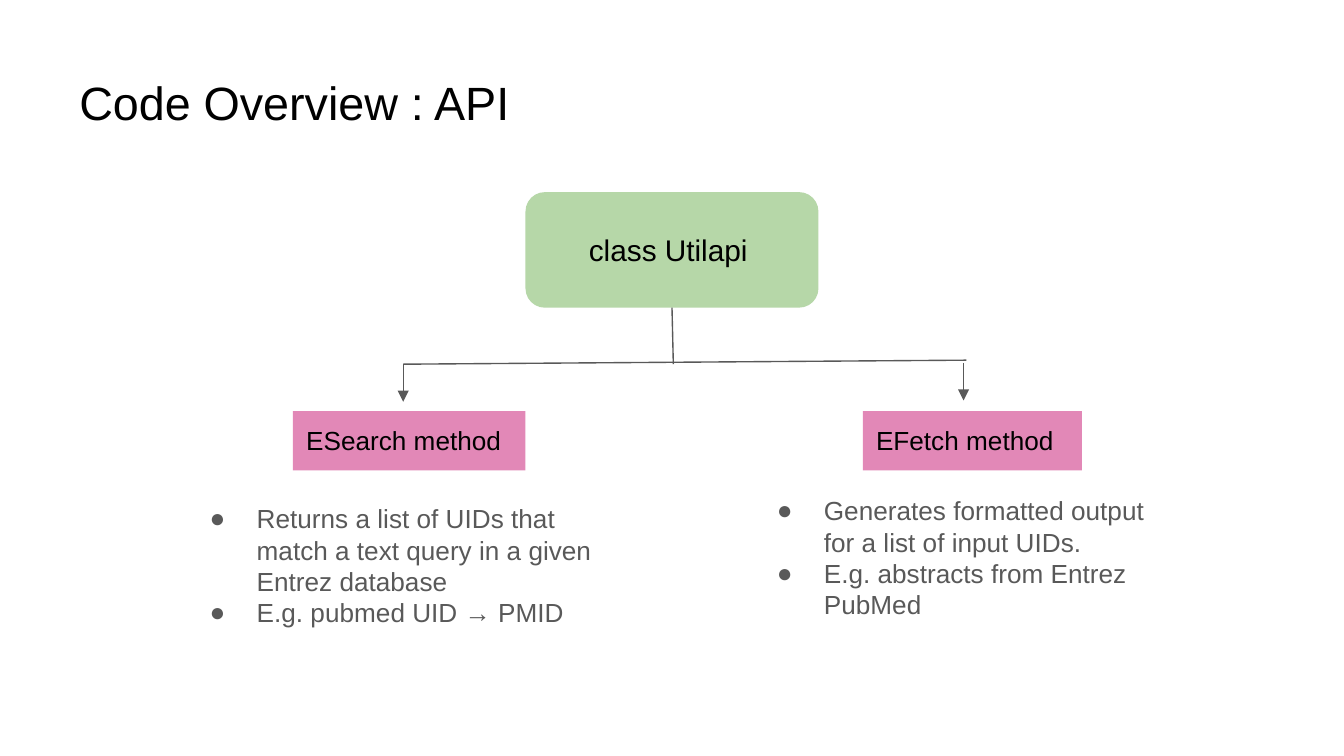
from dataclasses import dataclass
from lxml import etree
from pptx import Presentation, util as u
from pptx.dml import color
from pptx.enum import shapes, text
from pptx.oxml import ns

In = u.Inches


@dataclass(frozen=True)
class Theme:
    font: str = "Arial"
    ink: str = "000000"
    gray: str = "595959"
    green: str = "B6D7A8"
    pink: str = "E288B7"
    title: int = 25
    node: int = 16
    body: int = 14
    line: float = 0.75


T = Theme()
FRAME = {
    "word_wrap": True,
    "auto_size": text.MSO_AUTO_SIZE.NONE,
    "vertical_anchor": text.MSO_ANCHOR.TOP,
    **{f"margin_{side}": In(0.1) for side in ("left", "top", "right", "bottom")},
}


def assign(obj, vals):
    for key, val in vals.items():
        setattr(obj, key, val)


def rgb(hue):
    return color.RGBColor.from_string(hue)


def place(shape, box):
    assign(shape, dict(zip(("left", "top", "width", "height"), map(In, box))))


def style(font, size, hue):
    assign(font, {"name": T.font, "size": u.Pt(size), "bold": False})
    font.color.rgb = rgb(hue)


def write(shape, words, size, hue, align=text.PP_ALIGN.LEFT, **extra):
    frame = shape.text_frame
    assign(frame, {**FRAME, **extra})
    frame.text = words
    for para in frame.paragraphs:
        assign(para, {"alignment": align, "space_before": u.Pt(0)})
        for run in para.runs:
            style(run.font, size, hue)
    return frame


def node(slide, kind, box, fill):
    shape = slide.shapes.add_shape(kind, *map(In, box))
    shape.shadow.inherit = False
    shape.fill.solid()
    shape.fill.fore_color.rgb = rgb(fill)
    shape.line.fill.background()
    return shape


def link(slide, start, end, arrow=False):
    line = slide.shapes.add_connector(
        shapes.MSO_CONNECTOR.STRAIGHT, *map(In, start + end))
    line.line.color.rgb = rgb(T.gray)
    line.line.width = u.Pt(T.line)
    if arrow:
        etree.SubElement(line.line._get_or_add_ln(), ns.qn("a:tailEnd"), type="triangle")
    etree.SubElement(line._element.spPr, ns.qn("a:effectLst"))
    return line


def bullet(para):
    props = para._p.get_or_add_pPr()
    props.set("marL", str(In(0.5)))
    props.set("indent", str(In(-0.35)))
    hue = etree.SubElement(props, ns.qn("a:buClr"))
    etree.SubElement(hue, ns.qn("a:srgbClr"), val=T.gray)
    etree.SubElement(props, ns.qn("a:buFont"), typeface=T.font)
    etree.SubElement(props, ns.qn("a:buChar"), char="●")


def heading(shape, box, words):
    place(shape, box)
    write(shape, words, T.title, T.ink)


def root(slide, box, words):
    shape = node(slide, shapes.MSO_SHAPE.ROUNDED_RECTANGLE, box, T.green)
    frame = write(shape, words, T.node, T.ink, text.PP_ALIGN.CENTER,
                  vertical_anchor=text.MSO_ANCHOR.MIDDLE)
    space = frame.paragraphs[0].add_run()
    space.text = " "
    style(space.font, T.body, T.ink)
    return shape


def tree(slide, top, box):
    x, y, w, h = box
    trunk = link(slide, (x + 2, y - 0.4), (x + 2.01, y + 0.03))
    trunk.begin_connect(top, 2)
    link(slide, (x, y + 0.03), (x + w, y))
    for left, drop in ((x, 0.03), (x + w - 0.02, 0.02)):
        link(slide, (left, y + drop), (left, y + drop + h), True)


def method(slide, body, box, name, wide, inset, drop, items):
    x, y, w, h = box
    label = node(slide, shapes.MSO_SHAPE.RECTANGLE, (x + inset, y, wide, 0.44), T.pink)
    write(label, name, T.body, T.ink)
    place(body, (x, y + drop, w, h - drop))
    frame = write(body, "\n".join(items), T.body, T.gray)
    for para in frame.paragraphs:
        bullet(para)


def main():
    deck = Presentation()
    assign(deck, {"slide_width": In(10), "slide_height": In(10) * 9 // 16})
    slide = deck.slides.add_slide(deck.slide_layouts[3])
    title, left, right = slide.placeholders
    heading(title, (0.49, 0.45, 4.58, 0.62), "Code Overview : API")
    top = root(slide, (3.91, 1.43, 2.18, 0.86), "class Utilapi")
    tree(slide, top, (3, 2.68, 4.19, 0.28))
    method(slide, left, (1.31, 3.06, 3.28, 1.72), "ESearch method", 1.73, 0.87, 0.58, (
        "Returns a list of UIDs that match a text query in a given Entrez database",
        "E.g. pubmed UID → PMID"))
    method(slide, right, (5.53, 3.06, 3.28, 1.66), "EFetch method", 1.63, 0.89, 0.52, (
        "Generates formatted output for a list of input UIDs.",
        "E.g. abstracts from Entrez PubMed"))
    deck.save("out.pptx")


if __name__ == "__main__":
    main()
